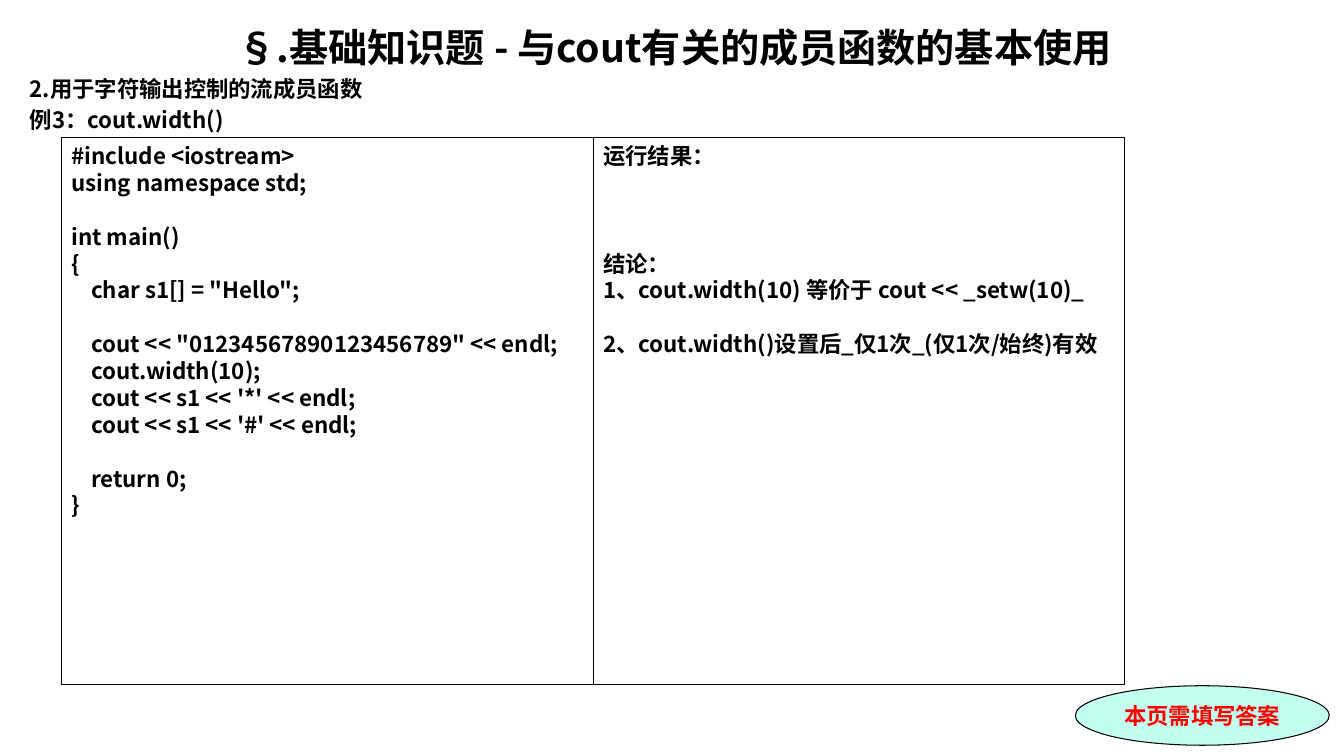
import pptx
import pptx.util
import pptx.dml.color
import pptx.enum.shapes
import pptx.enum.text
import pptx.oxml.ns
import lxml.etree

Cm = pptx.util.Cm
Pt = pptx.util.Pt
SHAPES = pptx.enum.shapes.MSO_SHAPE
ANCHOR = pptx.enum.text.MSO_ANCHOR
ALIGN = pptx.enum.text.PP_ALIGN
CJK = "Noto Sans CJK SC"
LINE_RATIO = 1.2
BODY_SIZE = 16
INDENT = Cm(0.5)

CODE = """#include <iostream>
using namespace std;

int main()
{
    char s1[] = "Hello";

    cout << "01234567890123456789" << endl;
    cout.width(10);
    cout << s1 << '*' << endl;
    cout << s1 << '#' << endl;

    return 0;
}"""

RESULTS = """运行结果：



结论：
1、cout.width(10) 等价于 cout << _setw(10)_

2、cout.width()设置后_仅1次_(仅1次/始终)有效"""


def color(value):
    return pptx.dml.color.RGBColor.from_string(value)


def write(frame, text, first=False, size=BODY_SIZE, font=CJK, ink="000000",
          align=ALIGN.LEFT, before=0, indent=0):
    paragraph = frame.paragraphs[0] if first else frame.add_paragraph()
    paragraph.alignment = align
    paragraph.line_spacing = Pt(size * LINE_RATIO)
    paragraph.space_before = Pt(before)
    if indent:
        properties = paragraph._p.get_or_add_pPr()
        properties.set("marL", str(indent))
        properties.set("indent", "0")
    run = paragraph.add_run()
    run.text = text
    run.font.size = Pt(size)
    run.font.bold = True
    run.font.name = font
    run.font.color.rgb = color(ink)
    east_asian = lxml.etree.SubElement(run._r.get_or_add_rPr(), pptx.oxml.ns.qn("a:ea"))
    east_asian.set("typeface", CJK)


def outlined(slide, box, kind, fill=None):
    shape = slide.shapes.add_shape(kind, *box)
    shape.shadow.inherit = False
    shape.line.color.rgb = color("000000")
    shape.line.width = Pt(0.75)
    if fill:
        shape.fill.solid()
        shape.fill.fore_color.rgb = color(fill)
    else:
        shape.fill.background()
    shape.text_frame.word_wrap = True
    return shape


def heading(slide, box):
    frame = slide.shapes.add_textbox(*box).text_frame
    frame.word_wrap = True
    write(frame, "§.基础知识题 - 与cout有关的成员函数的基本使用", first=True,
          size=28, align=ALIGN.CENTER)
    for line in ("2.用于字符输出控制的流成员函数", "例3：cout.width()"):
        write(frame, line, before=0.2 * BODY_SIZE)


def panel(slide, box, listing):
    frame = outlined(slide, box, SHAPES.RECTANGLE).text_frame
    frame.vertical_anchor = ANCHOR.TOP
    skipped = 0
    for number, line in enumerate(listing.splitlines()):
        if not line:
            skipped += 1
            continue
        text = line.lstrip()
        write(frame, text, first=number == 0,
              before=skipped * BODY_SIZE * LINE_RATIO,
              indent=INDENT if text != line else 0)
        skipped = 0


def answer_note(slide, box):
    frame = outlined(slide, box, SHAPES.OVAL, fill="C2FFF0").text_frame
    frame.vertical_anchor = ANCHOR.MIDDLE
    write(frame, "本页需填写答案", first=True, font="Times New Roman",
          ink="FF0000", align=ALIGN.CENTER)


def main():
    deck = pptx.Presentation()
    deck.slide_width, deck.slide_height = Cm(33.87), Cm(19.05)
    slide = deck.slides.add_slide(deck.slide_layouts[6])

    heading(slide, (Cm(0.5), Cm(0.46), Cm(33), Cm(18)))
    left, top, width, height = Cm(1.55), Cm(3.46), Cm(13.4), Cm(13.8)
    panel(slide, (left, top, width, height), CODE)
    answer_note(slide, (Cm(27.1), Cm(17.28), Cm(6.4), Cm(1.5)))
    panel(slide, (left + width, top, width, height), RESULTS)

    deck.save("out.pptx")


if __name__ == "__main__":
    main()
